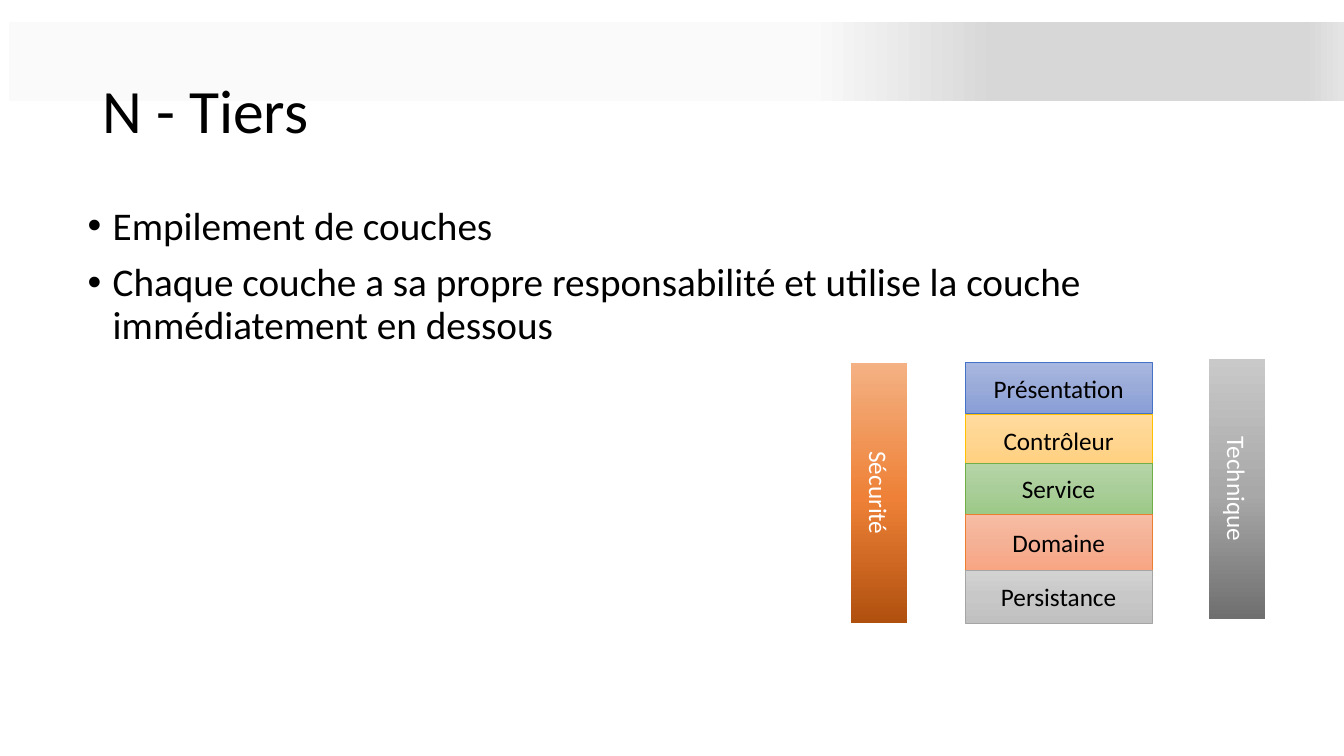
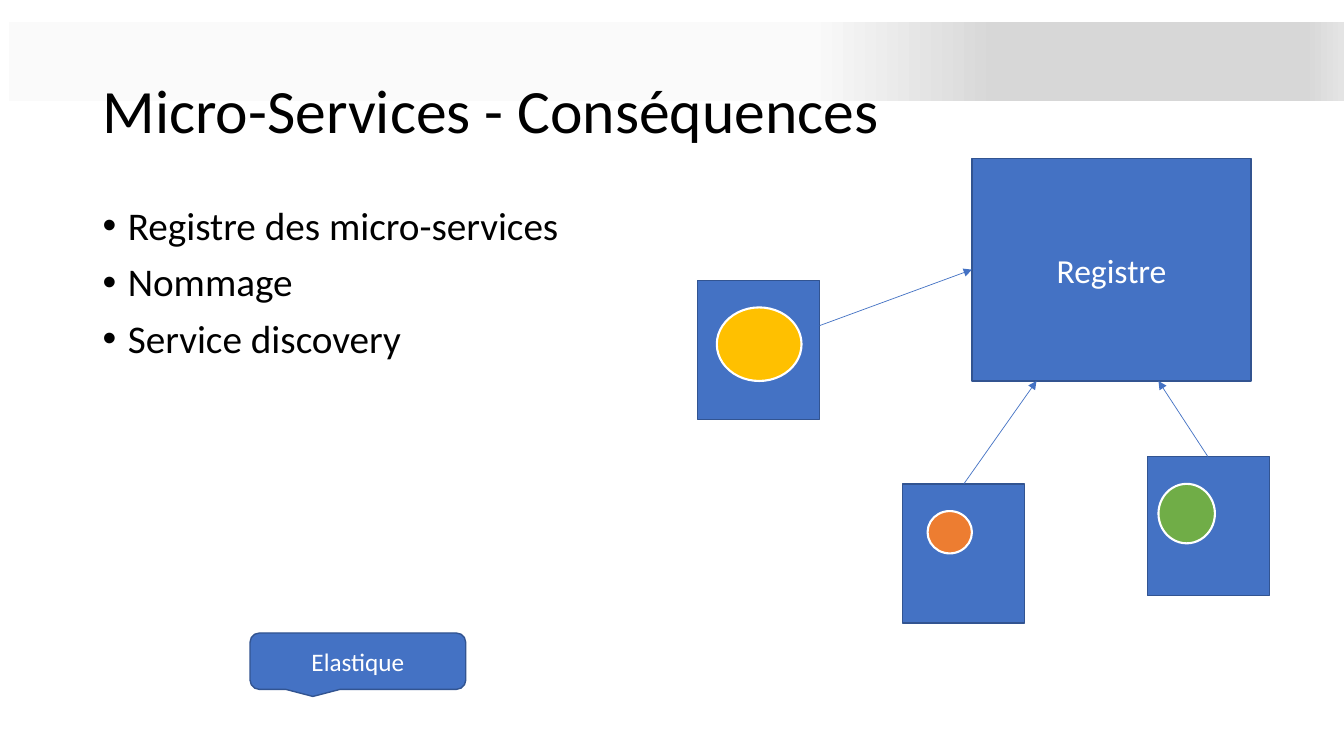
import pptx
import pptx.dml.color
import pptx.enum.shapes
import pptx.enum.text
import pptx.oxml
import pptx.oxml.ns
import pptx.util
from lxml import etree

Inches = pptx.util.Inches
qn = pptx.oxml.ns.qn
SHAPES = pptx.enum.shapes.MSO_SHAPE
ANCHOR = pptx.enum.text.MSO_ANCHOR
ALIGN = pptx.enum.text.PP_ALIGN

FONT = "Calibri"
COLORS = {
    "text": "000000",
    "white": "FFFFFF",
    "blue": "4472C4",
    "outline": "325491",
    "yellow": "FFC000",
    "green": "70AD47",
    "orange": "ED7D31",
    "gray": "A5A5A5",
}
GRADIENTS = {
    "band": [(60, "FAFAFA"), (74, "D7D7D7"), (97, "D7D7D7"), (100, "E4E4E4")],
    "blue": [(0, "A8B7DF"), (50, "9AABD9"), (100, "889ED7")],
    "yellow": [(0, "FFDB9E"), (50, "FFD590"), (100, "FFD07C")],
    "green": [(0, "B5D5A7"), (50, "AACE9A"), (100, "9CC987")],
    "orange": [(0, "F7BDA5"), (50, "F5B196"), (100, "F8A582")],
    "gray": [(0, "D2D2D2"), (50, "C8C8C8"), (100, "C0C0C0")],
    "security": [(0, "B0500F"), (48, "EE8137"), (100, "F4B183")],
    "technical": [(0, "6F6F6F"), (48, "A8A8A8"), (100, "C9C9C9")],
}


def rgb(name):
    """Return the named colour."""
    return pptx.dml.color.RGBColor.from_string(COLORS[name])


def inches(box):
    """Convert a sequence of numbers to lengths."""
    return [Inches(value) for value in box]


def add_run(paragraph, text, size, color):
    """Append one formatted run."""
    run = paragraph.add_run()
    run.text = text
    run.font.name = FONT
    run.font.size = pptx.util.Pt(size)
    run.font.color.rgb = rgb(color)


def fill_gradient(shape, stops, angle):
    """Fill a shape with a linear gradient, its angle in clockwise degrees."""
    shape.fill.gradient()
    gradient = shape._element.spPr.find(qn("a:gradFill"))
    stop_list = gradient.find(qn("a:gsLst"))
    for old_stop in list(stop_list):
        stop_list.remove(old_stop)
    for position, color in stops:
        stop = etree.SubElement(stop_list, qn("a:gs"), pos=str(position * 1000))
        etree.SubElement(stop, qn("a:srgbClr"), val=color)
    gradient.find(qn("a:lin")).set("ang", str(angle * 60000))


def add_block(slide, box, fill=None, gradient=None, angle=90, line=None, width=1,
              text=None, size=18, color="white", kind=SHAPES.RECTANGLE):
    """Add a filled shape with an optional outline and centred label."""
    shape = slide.shapes.add_shape(kind, *inches(box))
    shape.shadow.inherit = False
    if gradient:
        fill_gradient(shape, GRADIENTS[gradient], angle)
    else:
        shape.fill.solid()
        shape.fill.fore_color.rgb = rgb(fill)
    if line:
        shape.line.color.rgb = rgb(line)
        shape.line.width = pptx.util.Pt(width)
    else:
        shape.line.fill.background()
    if text:
        shape.text_frame.vertical_anchor = ANCHOR.MIDDLE
        paragraph = shape.text_frame.paragraphs[0]
        paragraph.alignment = ALIGN.CENTER
        add_run(paragraph, text, size, color)
    return shape


def add_arrow(slide, start, end):
    """Add a thin line with an arrowhead at its end."""
    connector = slide.shapes.add_connector(
        pptx.enum.shapes.MSO_CONNECTOR.STRAIGHT, *inches(start + end))
    connector.line.color.rgb = rgb("blue")
    connector.line.width = pptx.util.Pt(0.5)
    etree.SubElement(connector.line._get_or_add_ln(), qn("a:tailEnd"), type="triangle")
    etree.SubElement(connector._element.spPr, qn("a:effectLst"))


def add_text_frame(slide, box, anchor):
    """Add a wrapping text box and return its text frame."""
    frame = slide.shapes.add_textbox(*inches(box)).text_frame
    frame.word_wrap = True
    frame.vertical_anchor = anchor
    return frame


def add_base_slide(presentation, title):
    """Add a slide with the shared band and title."""
    slide = presentation.slides.add_slide(presentation.slide_layouts[6])
    add_block(slide, (0.09, 0.22, 13.24, 0.78), gradient="band", angle=0)
    frame = add_text_frame(slide, (0.92, 0.4, 11.5, 1.45), ANCHOR.MIDDLE)
    paragraph = frame.paragraphs[0]
    paragraph.line_spacing = 0.9
    add_run(paragraph, title, 44, "text")
    return slide


def add_bullets(slide, box, items):
    """Add a bulleted list."""
    frame = add_text_frame(slide, box, ANCHOR.TOP)
    for index, item in enumerate(items):
        paragraph = frame.add_paragraph() if index else frame.paragraphs[0]
        properties = paragraph._p.get_or_add_pPr()
        properties.set("marL", str(Inches(0.25)))
        properties.set("indent", str(Inches(-0.25)))
        etree.SubElement(properties, qn("a:buFont"), typeface="Arial")
        etree.SubElement(properties, qn("a:buChar"), char="•")
        paragraph.line_spacing = 0.9
        if index:
            paragraph.space_before = pptx.util.Pt(10)
        add_run(paragraph, item, 28, "text")


def add_layers(slide, left, top):
    """Draw the stacked layers between the two cross-cutting pillars."""
    layers = [
        ("Présentation", "blue", 0, 0.5),
        ("Contrôleur", "yellow", 0.51, 0.52),
        ("Service", "green", 1, 0.5),
        ("Domaine", "orange", 1.5, 0.56),
        ("Persistance", "gray", 2.06, 0.52),
    ]
    for text, color, offset, height in layers:
        add_block(slide, (left + 1.13, top + offset, 1.86, height), gradient=color,
                  line=color, width=0.5, text=text, color="text")
    pillars = [("Sécurité", "security", 0, 0), ("Technique", "technical", 3.55, -0.04)]
    for text, gradient, across, down in pillars:
        pillar = add_block(slide, (left + across, top + down, 0.56, 2.58),
                           gradient=gradient, angle=270, text=text)
        pillar.text_frame._txBody.bodyPr.set("vert", "vert")


def add_service(slide, left, top, color, circle):
    """Draw a micro-service box with a circle placed relative to it."""
    add_block(slide, (left, top, 1.21, 1.38), fill="blue", line="outline")
    across, down, width, height = circle
    add_block(slide, (left + across, top + down, width, height), fill=color,
              line="white", width=1.5, kind=SHAPES.OVAL)


def add_registry(slide, left, top):
    """Draw the registry and the services that register with it."""
    width, height = 2.77, 2.21
    bottom = top + height
    services = [
        (1.74, 2.96, "green", (0.11, 0.27, 0.56, 0.59)),
        (-0.69, 3.23, "orange", (0.25, 0.27, 0.44, 0.42)),
        (-2.72, 1.21, "yellow", (0.19, 0.27, 0.84, 0.73)),
    ]
    for across, down, color, circle in services:
        add_service(slide, left + across, top + down, color, circle)
    add_block(slide, (left, top, width, height), fill="blue", line="outline",
              text="Registre", size=24)
    add_arrow(slide, (left - 1.51, top + 1.66), (left, top + height / 2))
    add_arrow(slide, (left - 0.08, top + 3.23), (left + 0.64, bottom))
    add_arrow(slide, (left + 2.34, top + 2.96), (left + 1.85, bottom))


def build_tiers(presentation):
    """Build the layered architecture slide."""
    slide = add_base_slide(presentation, "N - Tiers")
    add_bullets(slide, (0.77, 2, 11.5, 4.76), [
        "Empilement de couches",
        "Chaque couche a sa propre responsabilité et utilise la couche "
        "immédiatement en dessous",
    ])
    add_layers(slide, 8.44, 3.6)


def build_consequences(presentation):
    """Build the micro-services registry slide."""
    slide = add_base_slide(presentation, "Micro-Services - Conséquences")
    add_bullets(slide, (0.92, 2, 5.46, 4.76), [
        "Registre des micro-services", "Nommage", "Service discovery",
    ])
    add_registry(slide, 9.64, 1.57)
    add_block(slide, (2.48, 6.28, 2.14, 0.56), fill="blue", line="outline",
              text="Elastique", kind=SHAPES.ROUNDED_RECTANGULAR_CALLOUT)


def main():
    """Create and save the presentation."""
    presentation = pptx.Presentation()
    presentation.slide_width = Inches(13.33)
    presentation.slide_height = Inches(7.5)
    build_tiers(presentation)
    build_consequences(presentation)
    presentation.save("out.pptx")


if __name__ == "__main__":
    main()
